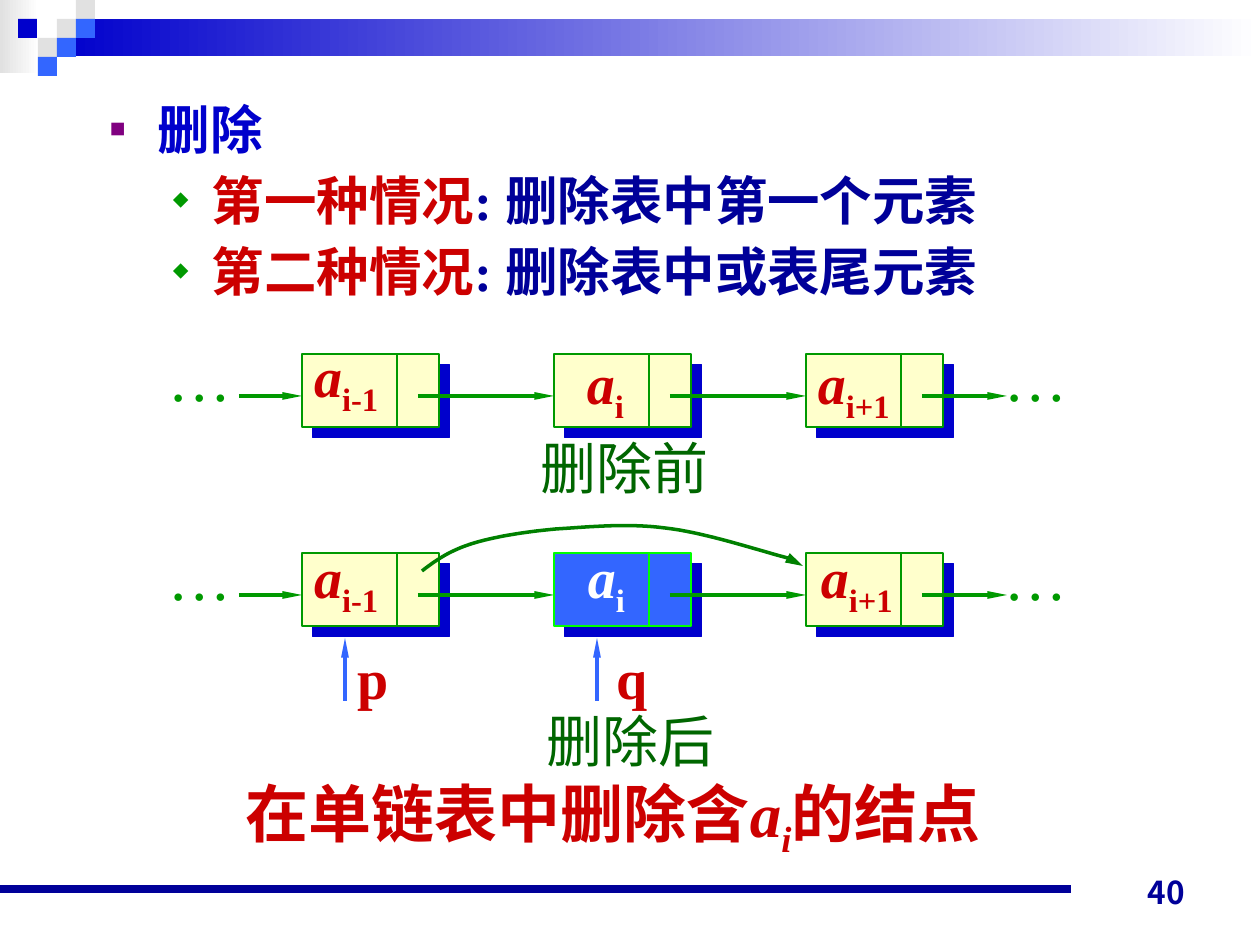
from lxml import etree
from pptx import Presentation
from pptx import util as u
from pptx.dml.color import RGBColor
from pptx.enum import shapes, text
from pptx.oxml import ns

COLORS = {
    "grey": "E1E1E1", "white": "FFFFFF", "blue": "0000CC", "sky": "3366FF",
    "navy": "000099", "red": "CC0000", "green": "009900", "cream": "FFFFCC",
    "lime": "00FF00", "forest": "006600", "curve": "008000", "purple": "800080",
}
SERIF, SANS = "Times New Roman", "Noto Sans CJK JP"
SCALE = 914400 / 126


def px(n):
    return u.Emu(round(n * SCALE))


def rgb(name):
    return RGBColor.from_string(COLORS[name])


def add(parent, tag, **attrs):
    return etree.SubElement(parent, ns.qn(tag), attrs)


class Deck:
    def __init__(self, w, h):
        self.prs = Presentation()
        self.prs.slide_width, self.prs.slide_height = px(w), px(h)
        self.s = self.prs.slides.add_slide(self.prs.slide_layouts[6])

    def rect(self, x, y, w, h, fill, line=None, fade=False, shadow=False):
        sp = self.s.shapes.add_shape(shapes.MSO_SHAPE.RECTANGLE, px(x), px(y), px(w), px(h))
        sp.shadow.inherit = False
        if fade:
            sp.fill.gradient()
            sp.fill.gradient_angle = 0
            for stop, color, pos in zip(sp.fill.gradient_stops, (fill, "white"), (0, 1)):
                stop.color.rgb = rgb(color)
                stop.position = pos
        else:
            sp.fill.solid()
            sp.fill.fore_color.rgb = rgb(fill)
        if line:
            sp.line.color.rgb = rgb(line)
            sp.line.width = u.Pt(0.75)
        else:
            sp.line.fill.background()
        if shadow:
            effects = sp._element.spPr.find(ns.qn("a:effectLst"))
            outer = add(effects, "a:outerShdw", dist=str(u.Pt(8.5)), dir="2700000",
                        algn="ctr", rotWithShape="0")
            add(outer, "a:srgbClr", val=COLORS["blue"])

    def stroke(self, sp, color, width, head):
        sp.line.color.rgb = rgb(color)
        sp.line.width = u.Pt(width)
        if head:
            add(sp.line._get_or_add_ln(), "a:tailEnd", type="triangle", w=head, len="lg")

    def line(self, x1, y1, x2, y2, color="green", width=2.25, head="sm"):
        sp = self.s.shapes.add_connector(
            shapes.MSO_CONNECTOR.STRAIGHT, px(x1), px(y1), px(x2), px(y2))
        self.stroke(sp, color, width, head)
        add(sp._element.spPr, "a:effectLst")

    def curve(self, start, segments, color, width, steps=16):
        points, p0 = [], start
        for p1, p2, p3 in segments:
            for t in (i / steps for i in range(1, steps + 1)):
                k = 1 - t
                points.append(tuple(
                    px(k**3 * a + 3 * k * k * t * b + 3 * k * t * t * c + t**3 * d)
                    for a, b, c, d in zip(p0, p1, p2, p3)))
            p0 = p3
        fb = self.s.shapes.build_freeform(px(start[0]), px(start[1]))
        fb.add_line_segments(points, close=False)
        sp = fb.convert_to_shape()
        sp.shadow.inherit = False
        sp.fill.background()
        self.stroke(sp, color, width, "med")

    def text(self, x, y, w, h, paragraphs, size, font=SERIF, bold=False, wrap=False,
             inset=(12, 6), align=None, anchor=text.MSO_ANCHOR.TOP, bullets=(), before=0):
        sp = self.s.shapes.add_textbox(px(x), px(y), px(w), px(h))
        tf = sp.text_frame
        tf.word_wrap = wrap
        if not wrap:
            tf.auto_size = text.MSO_AUTO_SIZE.SHAPE_TO_FIT_TEXT
        tf.vertical_anchor = anchor
        tf.margin_left = tf.margin_right = px(inset[0])
        tf.margin_top = tf.margin_bottom = px(inset[1])
        for i, runs in enumerate(paragraphs):
            p = tf.add_paragraph() if i else tf.paragraphs[0]
            p.alignment = align
            if bullets:
                self.bullet(p, *bullets[i])
            if i and before:
                p.space_before = u.Pt(before)
            for words, color, style in runs:
                r = p.add_run()
                r.text = words
                f = r.font
                f.size, f.name, f.bold = u.Pt(size), font, bold
                f.italic = "i" in style
                f.color.rgb = rgb(color)
                if "sub" in style.split():
                    r._r.get_or_add_rPr().set("baseline", "-25000")
                add(r._r.get_or_add_rPr(), "a:ea", typeface=SANS)

    def bullet(self, p, char, color, left, hang):
        pPr = p._p.get_or_add_pPr()
        pPr.set("marL", str(px(left)))
        pPr.set("indent", str(px(-hang)))
        add(add(pPr, "a:buClr"), "a:srgbClr", val=COLORS[color])
        add(pPr, "a:buSzPct", val="30000")
        add(pPr, "a:buFont", typeface=SANS)
        add(pPr, "a:buChar", char=char)

    def node(self, x, y, fill="cream", line="green"):
        self.rect(x, y, 137, 73, fill, line, shadow=True)
        self.line(x + 95, y, x + 95, y + 73, line, 1.5, None)

    def symbol(self, x, y, w, sub, color="red"):
        self.text(x, y, w, 79, [[("a", color, "i"), (sub, color, "sub")]], 32, bold=True)


def main():
    d = Deck(1260, 945)
    d.rect(0, 0, 39, 73, "grey", fade=True)
    d.rect(57, 19, 1203, 37, "blue", fade=True)
    for x, y, color in [(57, 19, "grey"), (76, 0, "grey"), (76, 19, "sky"), (38, 38, "grey"),
                        (18, 19, "blue"), (57, 38, "sky"), (38, 57, "sky")]:
        d.rect(x, y, 19, 19, color)
    d.line(0, 889, 1071, 889, "navy", 4.5, None)
    d.text(903, 854, 294, 63, [[("40", "navy", "")]], 18, SANS, True, True,
           align=text.PP_ALIGN.RIGHT, anchor=text.MSO_ANCHOR.BOTTOM)

    case = ("◆", "green", 102, 39)
    d.text(98, 91, 1124, 262, [
        [("删除", "blue", "")],
        [("第一种情况", "red", ""), (": 删除表中第一个元素", "navy", "")],
        [("第二种情况", "red", ""), (": 删除表中或表尾元素", "navy", "")],
    ], 30, bold=True, wrap=True, bullets=[("■", "purple", 48, 48), case, case], before=4.5)
    d.text(231, 766, 798, 92, [[
        ("在单链表中删除含", "red", ""), ("a", "red", "i"), ("i", "red", "i sub"),
        ("的结点", "red", "")]], 36, bold=True, wrap=True, inset=(15, 8))

    nodes = [302, 554, 806]
    for top, middle in [(354, ("cream", "green")), (553, ("sky", "lime"))]:
        mid = top + 42
        d.line(239, mid, 302, mid)
        for x, end, style in zip(nodes, nodes[1:] + [1007], [(), middle, ()]):
            d.node(x, top, *style)
            d.line(x + 116, mid, end, mid)
        for x in (156, 992):
            d.text(x, top - 21, 88, 88, [[("…", "green", "")]], 36)

    for x, y, w, sub, color in [
            (302, 336, 94, "i-1", "red"), (302, 537, 94, "i-1", "red"),
            (575, 343, 64, "i", "red"), (576, 537, 64, "i", "white"),
            (806, 343, 103, "i+1", "red"), (809, 537, 103, "i+1", "red")]:
        d.symbol(x, y, w, sub, color)

    for x, label_x, name in [(345, 345, "p"), (597, 604, "q")]:
        d.line(x, 701, x, 638, "sky")
        d.text(label_x, 638, 57, 79, [[(name, "red", "")]], 32, bold=True)
    for x, y, caption in [(528, 427, "删除前"), (534, 701, "删除后")]:
        d.text(x, y, 193, 79, [[(caption, "forest", "")]], 32)

    d.curve((422, 571), [
        ((435, 561), (449, 551), (471, 544)),
        ((493, 537), (523, 532), (556, 529)),
        ((588, 527), (627, 523), (665, 528)),
        ((703, 532), (761, 551), (784, 557)),
        ((806, 563), (799, 564), (803, 566)),
    ], "curve", 2)
    d.prs.save("out.pptx")


if __name__ == "__main__":
    main()
